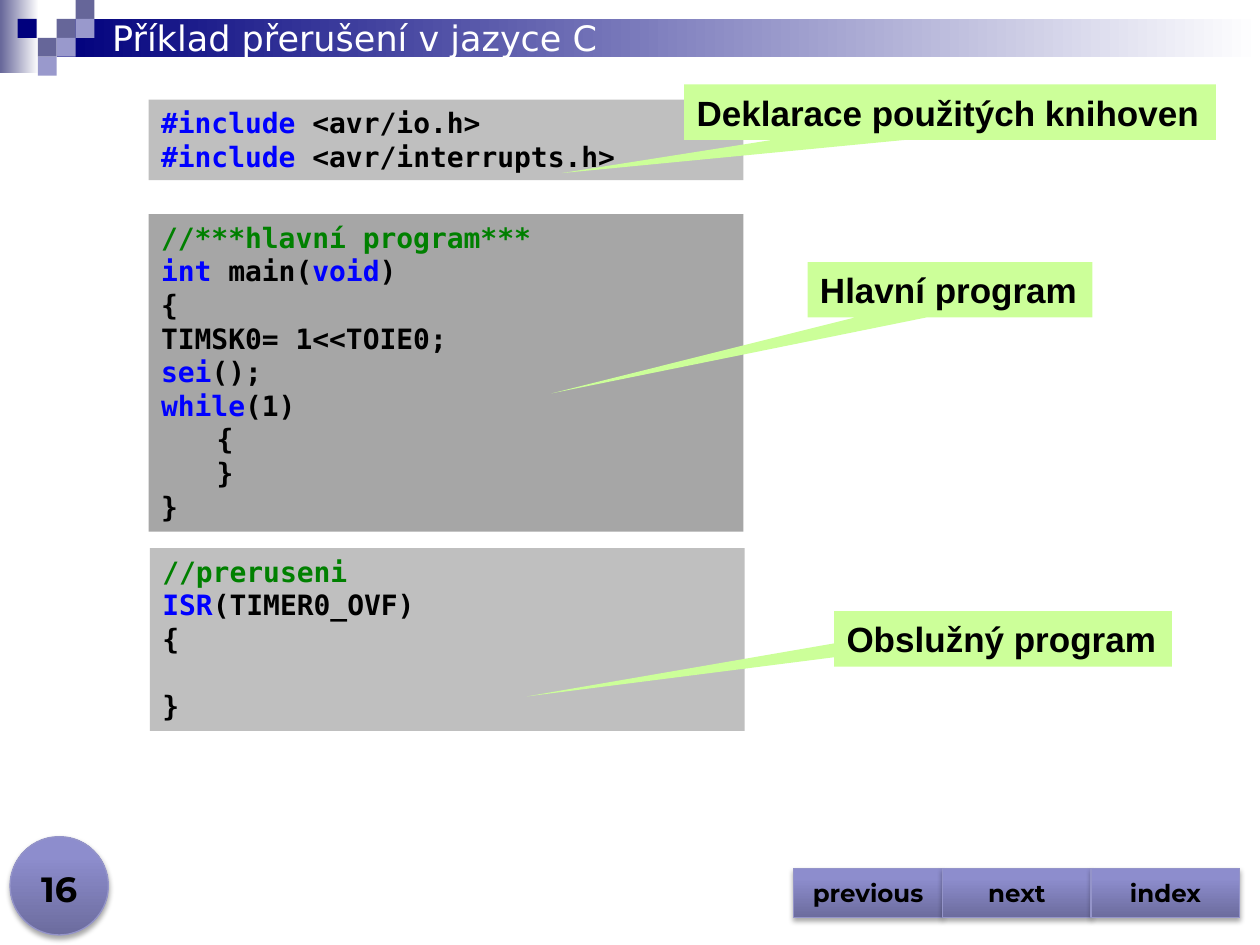
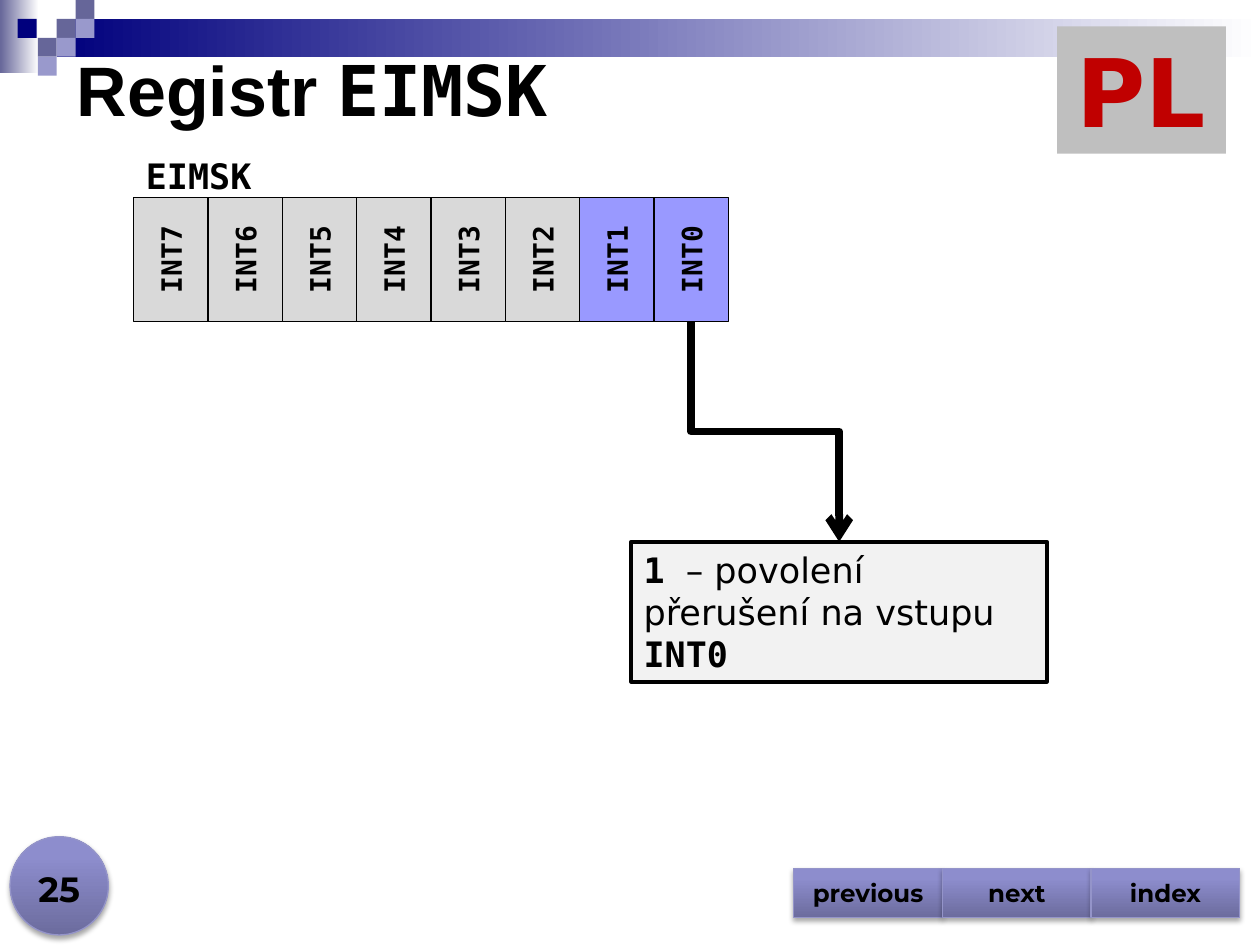
from dataclasses import dataclass
from typing import NamedTuple

from lxml import etree
from pptx import Presentation
from pptx import util as u
from pptx.dml.color import RGBColor
from pptx.enum import shapes, text
from pptx.oxml.ns import qn

EMU_PER_PX = 9144  # 100 px to the inch
Shape = shapes.MSO_SHAPE
Align = text.PP_ALIGN
Anchor = text.MSO_ANCHOR


@dataclass(frozen=True)
class Theme:
    navy: str = "00007D"
    slate: str = "666699"
    lilac: str = "9999CC"
    white: str = "FFFFFF"
    black: str = "000000"
    keyword: str = "0000FF"
    comment: str = "008000"
    code_light: str = "BFBFBF"
    code_dark: str = "A6A6A6"
    callout: str = "CCFF99"
    bit_unused: str = "D9D9D9"
    bit_used: str = "9999FF"
    note: str = "F2F2F2"
    red: str = "C00000"
    button_line: str = "9494C9"
    button_stops: tuple = ((0, "6C6C9E"), (80, "8D8DCD"), (100, "8C8CCF"))
    sans: str = "DejaVu Sans"
    mono: str = "DejaVu Sans Mono"
    heading: str = "Arial"
    control: str = "Montserrat"
    button_size: int = 14
    code_size: int = 16
    text_size: int = 20
    title_size: int = 40
    badge_size: int = 54


THEME = Theme()


class Box(NamedTuple):
    left: int
    top: int
    width: int
    height: int


class Span(NamedTuple):
    text: str
    color: str = THEME.black
    font: str = THEME.mono
    bold: bool = True


class Line(NamedTuple):
    spans: tuple
    indent: int = 0
    before: int = 0


class CodeBlock(NamedTuple):
    box: Box
    fill: str
    lines: tuple


class Callout(NamedTuple):
    box: Box
    label: str
    tip: tuple


def px(length: float) -> u.Emu:
    return u.Emu(round(length * EMU_PER_PX))


def place(box: Box) -> list:
    return [px(length) for length in box]


def code(*spans) -> Line:
    return Line(spans)


def keyword(word: str) -> Span:
    return Span(word, THEME.keyword)


def comment(words: str) -> Span:
    return Span(words, THEME.comment)


def write(frame, lines, size: int, align=Align.LEFT, anchor=Anchor.TOP, wrap=True) -> None:
    frame.auto_size = text.MSO_AUTO_SIZE.NONE
    frame.word_wrap = wrap
    frame.vertical_anchor = anchor
    for number, line in enumerate(lines):
        para = frame.add_paragraph() if number else frame.paragraphs[0]
        para.alignment = align
        if line.before:
            para.space_before = u.Pt(line.before)
        if line.indent:
            para.level = 1
            properties = para._p.get_or_add_pPr()
            properties.set("marL", str(px(line.indent)))
            properties.set("indent", "0")
        for part in line.spans:
            span = para.add_run()
            span.text = part.text
            span.font.size = u.Pt(size)
            span.font.name = part.font
            span.font.bold = part.bold
            span.font.color.rgb = RGBColor.from_string(part.color)


def add_panel(parent, box: Box, fill: str, kind=Shape.RECTANGLE, line="", line_width=0.75):
    """Add a preset shape without shadow; no line colour means no outline."""
    panel = parent.shapes.add_shape(kind, *place(box))
    panel.shadow.inherit = False
    panel.fill.solid()
    panel.fill.fore_color.rgb = RGBColor.from_string(fill)
    if line:
        panel.line.color.rgb = RGBColor.from_string(line)
        panel.line.width = u.Pt(line_width)
    else:
        panel.line.fill.background()
    return panel


def set_gradient(panel, stops, angle: int) -> None:
    panel.fill.gradient()
    panel.fill.gradient_angle = angle
    stop_list = panel.element.spPr.find(qn("a:gradFill")).find(qn("a:gsLst"))
    for stop in list(stop_list):
        stop_list.remove(stop)
    for percent, color in stops:
        stop = etree.SubElement(stop_list, qn("a:gs"), pos=str(percent * 1000))
        etree.SubElement(stop, qn("a:srgbClr"), val=color)


def add_control(page, box: Box, kind):
    """Add a shaded lilac control with a soft shadow below it."""
    control = add_panel(page, box, THEME.lilac, kind, THEME.button_line)
    set_gradient(control, THEME.button_stops, 90)
    effects = control.element.spPr.find(qn("a:effectLst"))
    shadow = etree.SubElement(effects, qn("a:outerShdw"), blurRad=str(u.Pt(3.1)),
                              dist=str(u.Pt(1.8)), dir="5400000", rotWithShape="0")
    color = etree.SubElement(shadow, qn("a:srgbClr"), val=THEME.black)
    etree.SubElement(color, qn("a:alpha"), val="35000")
    return control


def add_band(page) -> None:
    """Draw the header band once and hand it to the layout that all pages use."""
    band = page.shapes.add_group_shape()
    for box, start in ((Box(0, 0, 31, 58), THEME.slate), (Box(45, 15, 955, 30), THEME.navy)):
        set_gradient(add_panel(band, box, start), ((0, start), (100, THEME.white)), 0)
    squares = ((45, 15, THEME.slate), (60, 0, THEME.slate), (60, 15, THEME.lilac),
               (30, 30, THEME.slate), (14, 15, THEME.navy), (45, 30, THEME.lilac),
               (30, 45, THEME.lilac))
    for left, top, color in squares:
        add_panel(band, Box(left, top, 15, 15), color)
    for number, names in enumerate(band.element.iter(qn("p:cNvPr")), 100):
        names.set("id", str(number))
    page.slide_layout.shapes.element.insert(2, band.element)


def add_title(page, box: Box, size: int, *spans) -> None:
    title = page.shapes.title
    title.left, title.top, title.width, title.height = place(box)
    write(title.text_frame, [Line(spans)], size, anchor=Anchor.MIDDLE)


def add_label(page, box: Box, label: Span, anchor=Anchor.TOP, align=Align.LEFT) -> None:
    frame = page.shapes.add_textbox(*place(box)).text_frame
    write(frame, [Line((label,))], THEME.text_size, align, anchor)


def add_footer(page, number: int) -> None:
    add_control(page, Box(8, 664, 78, 78), Shape.OVAL)
    add_label(page, Box(0, 677, 94, 50), Span(str(number), font=THEME.control),
              Anchor.BOTTOM, Align.CENTER)
    for column, label in enumerate(("previous", "next", "index")):
        button = add_control(page, Box(630 + 118 * column, 689, 118, 39),
                             Shape.ACTION_BUTTON_CUSTOM)
        write(button.text_frame, [code(Span(label, font=THEME.control))],
              THEME.button_size, Align.CENTER, Anchor.MIDDLE)


def add_code(page, block: CodeBlock) -> None:
    panel = add_panel(page, block.box, block.fill)
    write(panel.text_frame, block.lines, THEME.code_size)


def add_callout(page, callout: Callout) -> None:
    panel = add_panel(page, callout.box, THEME.callout, Shape.RECTANGULAR_CALLOUT)
    panel.adjustments[0], panel.adjustments[1] = callout.tip
    write(panel.text_frame, [code(Span(callout.label, font=THEME.heading))],
          THEME.text_size, anchor=Anchor.MIDDLE, wrap=False)


def add_bit(page, box: Box, name: str, fill: str):
    cell = add_panel(page, box, fill, line=THEME.black)
    write(cell.text_frame, [code(Span(name))], THEME.code_size,
          Align.CENTER, Anchor.MIDDLE, wrap=False)
    cell.text_frame._txBody.bodyPr.set("vert", "vert270")
    return cell


def add_elbow_arrow(page, source, target) -> None:
    """Run down from the source, across halfway, and down to the target."""
    start_x, start_y = source.left + source.width // 2, source.top + source.height
    end_x, end_y = target.left + target.width // 2, target.top
    arrow = page.shapes.add_connector(shapes.MSO_CONNECTOR.ELBOW, start_x, start_y, end_x, end_y)
    arrow.begin_connect(source, 2)
    arrow.end_connect(target, 0)
    # A quarter turn makes the first leg vertical, so width and height swap.
    arrow.width, arrow.height = end_y - start_y, end_x - start_x
    arrow.left = (start_x + end_x - arrow.width) // 2
    arrow.top = (start_y + end_y - arrow.height) // 2
    frame = arrow.element.spPr.find(qn("a:xfrm"))
    frame.set("rot", "16200000")
    frame.set("flipH", "1")
    arrow.line.color.rgb = RGBColor.from_string(THEME.black)
    arrow.line.width = u.Pt(4.5)
    etree.SubElement(arrow.line._get_or_add_ln(), qn("a:tailEnd"), type="arrow")
    etree.SubElement(arrow.element.spPr, qn("a:effectLst"))


CODE_BLOCKS = (
    CodeBlock(Box(118, 79, 472, 64), THEME.code_light, (
        code(keyword("#include "), Span("<avr/io.h>")),
        code(keyword("#include "), Span("<avr/interrupts.h>")))),
    CodeBlock(Box(118, 170, 472, 252), THEME.code_dark, (
        code(comment("//***hlavní program***")),
        code(keyword("int "), Span("main("), keyword("void"), Span(")")),
        code(Span("{")),
        code(Span("TIMSK0= 1<<TOIE0;")),
        code(keyword("sei"), Span("();")),
        code(keyword("while"), Span("(1)")),
        Line((Span("{"),), indent=44),
        Line((Span("}"),), indent=44),
        code(Span("}")))),
    CodeBlock(Box(119, 435, 472, 145), THEME.code_light, (
        code(comment("//preruseni")),
        code(keyword("ISR"), Span("(TIMER0_OVF)")),
        code(Span("{")),
        Line((Span("}"),), before=19))),
)
CALLOUTS = (
    Callout(Box(543, 67, 422, 44), "Deklarace použitých knihoven", (-0.73, 1.1)),
    Callout(Box(641, 208, 226, 44), "Hlavní program", (-1.4, 1.87)),
    Callout(Box(662, 485, 268, 44), "Obslužný program", (-1.41, 1.04)),
)


def build_interrupt_example(page) -> None:
    add_title(page, Box(79, 8, 850, 44), THEME.text_size,
              Span("Příklad přerušení v jazyce C", THEME.white, THEME.sans, False))
    for block in CODE_BLOCKS:
        add_code(page, block)
    for callout in CALLOUTS:
        add_callout(page, callout)
    add_footer(page, 16)


def build_register(page) -> None:
    add_title(page, Box(51, 31, 886, 79), THEME.title_size,
              Span("Registr ", font=THEME.heading), Span("EIMSK"))
    add_label(page, Box(106, 118, 203, 44), Span("EIMSK"))
    for column, bit in enumerate(range(7, -1, -1)):
        fill = THEME.bit_used if bit < 2 else THEME.bit_unused
        last_bit = add_bit(page, Box(106 + 59 * column, 157, 59, 98), f"INT{bit}", fill)
    note = add_panel(page, Box(501, 430, 330, 111), THEME.note, line=THEME.black, line_width=2.25)
    meaning = Span("– povolení přerušení na vstupu ", font=THEME.sans, bold=False)
    write(note.text_frame, [code(Span("1 "), meaning, Span("INT0"))], THEME.text_size)
    add_elbow_arrow(page, last_bit, note)
    add_footer(page, 25)
    badge = add_panel(page, Box(839, 21, 134, 101), THEME.code_light)
    write(badge.text_frame, [code(Span("PL", THEME.red, THEME.sans))],
          THEME.badge_size, Align.CENTER)


def main() -> None:
    deck = Presentation()
    deck.slide_width, deck.slide_height = px(1000), px(750)
    title_only = deck.slide_layouts[5]
    for number, build in enumerate((build_interrupt_example, build_register)):
        page = deck.slides.add_slide(title_only)
        if number == 0:
            add_band(page)
        build(page)
    deck.save("out.pptx")


if __name__ == "__main__":
    main()
